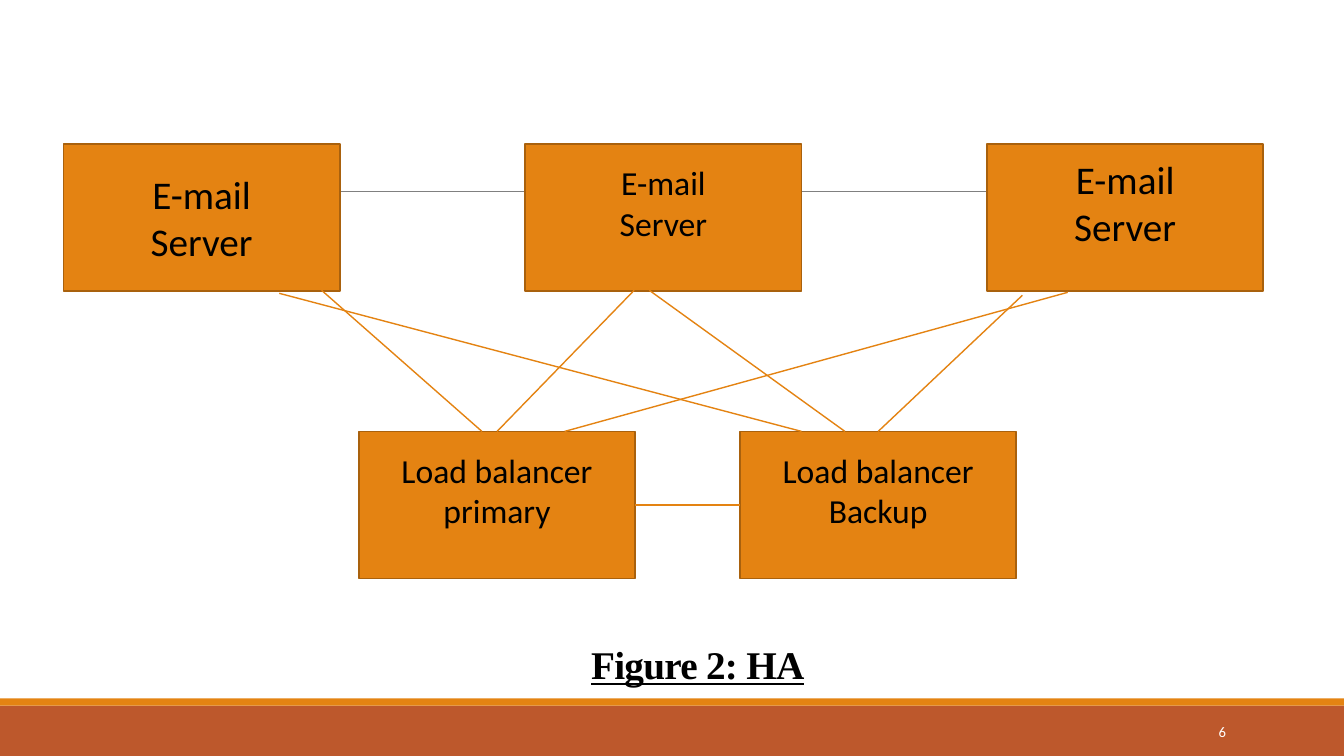
from lxml import etree
from pptx import Presentation
from pptx.dml.color import RGBColor
from pptx.enum.shapes import MSO_CONNECTOR, MSO_SHAPE
from pptx.enum.text import MSO_ANCHOR, MSO_AUTO_SIZE, PP_ALIGN
from pptx.oxml.ns import qn
from pptx.util import Inches, Pt

STRAIGHT = MSO_CONNECTOR.STRAIGHT
RECTANGLE = MSO_SHAPE.RECTANGLE
MIDDLE, BOTTOM = MSO_ANCHOR.MIDDLE, MSO_ANCHOR.BOTTOM
CENTER, RIGHT = PP_ALIGN.CENTER, PP_ALIGN.RIGHT
NO_FIT = MSO_AUTO_SIZE.NONE

ORANGE, RUST, BROWN = "E48312", "BD582C", "A9610D"
GREY, BLACK, WHITE = "808080", "000000", "FFFFFF"

TITLE = "Figure 2: HA"
PAGE_NUMBER = "6"
BOX_WIDTH, BOX_HEIGHT = 2.74, 1.46
SERVER_LEFT, SERVER_STEP, SERVER_TOP = 0.63, 4.58, 1.43
BALANCER_LEFT, BALANCER_STEP, BALANCER_TOP = 3.56, 3.78, 4.28
PLAIN_INSET, RAISED_INSET = 0.05, 0.35

SERVERS = [
    (("E-mail", "Server"), 28, PLAIN_INSET),
    (("E-mail", "Server"), 24, RAISED_INSET),
    (("E-mail", "Server"), 28, RAISED_INSET),
]
BALANCERS = [
    (("Load balancer", "primary"), 24, RAISED_INSET),
    (("Load balancer", "Backup"), 24, RAISED_INSET),
]
SERVER_LINKS = [
    (3.19, 2.88, 4.78),
    (6.29, 2.88, 4.93),
    (6.44, 2.88, 8.38),
    (10.14, 2.93, 8.71),
    (2.77, 2.91, 7.95),
    (10.59, 2.9, 5.6),
]
BANDS = [(7, 0.5, RUST), (6.93, 0.07, ORANGE)]


def color(value):
    return RGBColor.from_string(value)


def add_rectangle(left, top, width, height, fill, outline=None):
    box = page.shapes.add_shape(
        RECTANGLE, Inches(left), Inches(top), Inches(width), Inches(height))
    box.shadow.inherit = False
    box.fill.solid()
    box.fill.fore_color.rgb = color(fill)
    if outline:
        box.line.color.rgb = color(outline)
        box.line.width = Pt(1.25)
    else:
        box.line.fill.background()
    return box


def add_line(x1, y1, x2, y2, stroke, width):
    line = page.shapes.add_connector(
        STRAIGHT, Inches(x1), Inches(y1), Inches(x2), Inches(y2))
    line.line.color.rgb = color(stroke)
    line.line.width = Pt(width)
    etree.SubElement(line._element.spPr, qn("a:effectLst"))


def write(shape, lines, size, ink, align, anchor, font="Calibri"):
    frame = shape.text_frame
    frame.text = "\n".join(lines)
    frame.word_wrap = True
    frame.auto_size = NO_FIT
    frame.vertical_anchor = anchor
    for para in frame.paragraphs:
        para.alignment = align
        para.font.name = font
        para.font.size = Pt(size)
        para.font.color.rgb = color(ink)


def add_row(nodes, left, step, top):
    for index, (lines, size, inset) in enumerate(nodes):
        box = add_rectangle(left + index * step, top, BOX_WIDTH, BOX_HEIGHT,
                            ORANGE, BROWN)
        write(box, lines, size, BLACK, CENTER, MIDDLE)
        box.text_frame.margin_bottom = Inches(inset)


deck = Presentation()
deck.slide_width, deck.slide_height = Inches(13.33), Inches(7.5)
page = deck.slides.add_slide(deck.slide_layouts[5])

for top, height, fill in BANDS:
    add_rectangle(0, top, 13.33, height, fill)
add_line(1.31, 1.9, 12.21, 1.9, GREY, 0.5)

title = page.shapes.title
title.left, title.top = Inches(1.42), Inches(5.28)
title.width, title.height = Inches(11), Inches(1.59)
write(title, [TITLE], 28, BLACK, CENTER, BOTTOM, "Times New Roman")
heading = title.text_frame.paragraphs[0]
heading.line_spacing = 0.85
heading.font.bold = True
heading.font.underline = True
for span in heading.runs:
    span.font._element.set("spc", "-50")

number = page.shapes.add_textbox(
    Inches(10.83), Inches(7.06), Inches(1.43), Inches(0.4))
write(number, [PAGE_NUMBER], 10.5, WHITE, RIGHT, MIDDLE)

add_row(SERVERS, SERVER_LEFT, SERVER_STEP, SERVER_TOP)
add_row(BALANCERS, BALANCER_LEFT, BALANCER_STEP, BALANCER_TOP)

for start_x, start_y, end_x in SERVER_LINKS:
    add_line(start_x, start_y, end_x, BALANCER_TOP, ORANGE, 1)
balancer_middle = BALANCER_TOP + BOX_HEIGHT / 2
add_line(BALANCER_LEFT + BOX_WIDTH, balancer_middle,
         BALANCER_LEFT + BALANCER_STEP, balancer_middle, ORANGE, 1)

deck.save("out.pptx")
